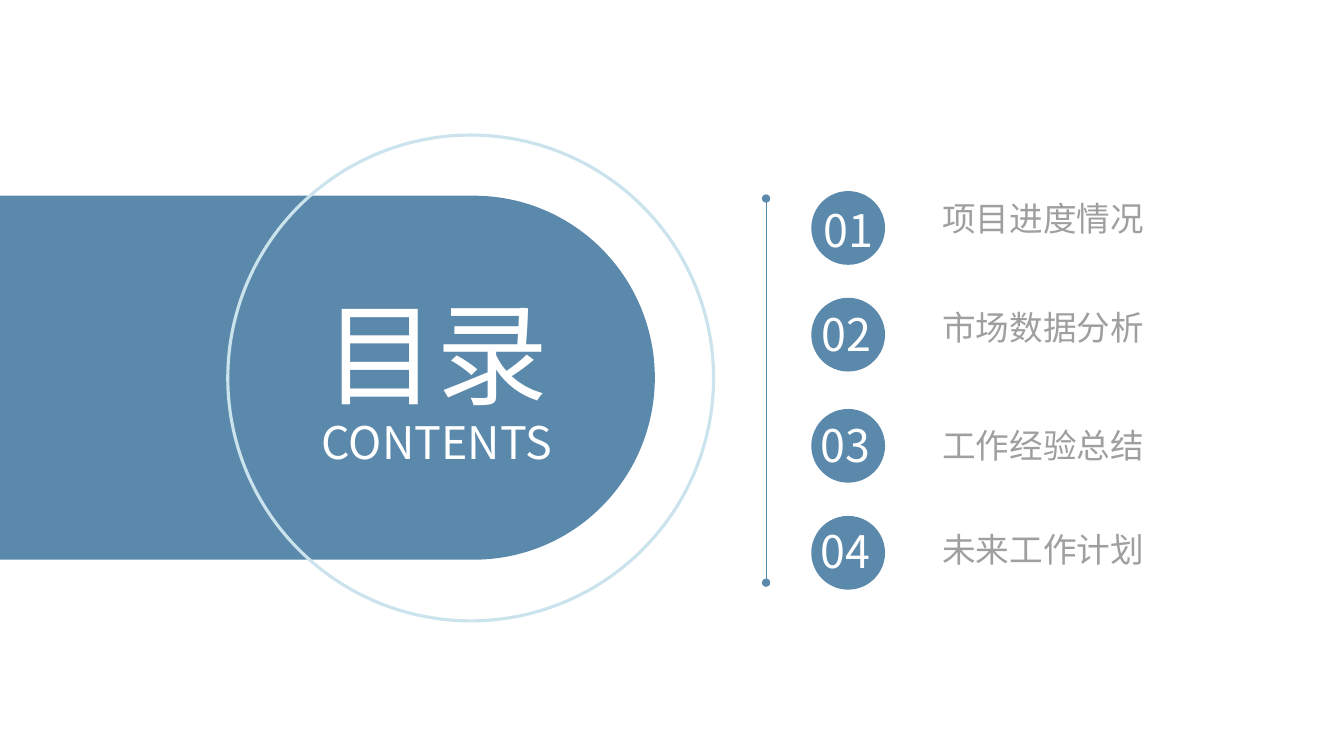
from pptx import Presentation
from pptx.dml.color import RGBColor
from pptx.enum.shapes import MSO_CONNECTOR, MSO_SHAPE
from pptx.enum.text import MSO_AUTO_SIZE, PP_ALIGN
from pptx.oxml.ns import qn
from pptx.util import Pt
from lxml.etree import SubElement

BLUE = RGBColor(0x5B, 0x89, 0xAB)
PALE_BLUE = RGBColor(0xCB, 0xE3, 0xED)
GREY = RGBColor(0x9F, 0x9F, 0x9F)
WHITE = RGBColor(0xFF, 0xFF, 0xFF)


class ContentsSlide:
    """Draws the elements of a contents slide in one style, with lengths in points."""

    font_name = "Noto Sans CJK SC"

    def __init__(self, slide):
        self.shapes = slide.shapes

    def solid(self, preset, left, top, width, height):
        panel = self.shapes.add_shape(preset, Pt(left), Pt(top), Pt(width), Pt(height))
        panel.shadow.inherit = False
        panel.fill.solid()
        panel.fill.fore_color.rgb = BLUE
        panel.line.fill.background()

    def ring(self, left, top, diameter):
        ring = self.shapes.add_shape(
            MSO_SHAPE.OVAL, Pt(left), Pt(top), Pt(diameter), Pt(diameter))
        ring.shadow.inherit = False
        ring.fill.background()
        ring.line.color.rgb = PALE_BLUE
        ring.line.width = Pt(2.25)

    def text(self, words, left, top, width, height, size, color,
             align=PP_ALIGN.LEFT, wrap=True):
        frame = self.shapes.add_textbox(
            Pt(left), Pt(top), Pt(width), Pt(height)).text_frame
        frame.word_wrap = wrap
        frame.auto_size = MSO_AUTO_SIZE.SHAPE_TO_FIT_TEXT
        paragraph = frame.paragraphs[0]
        paragraph.alignment = align
        run = paragraph.add_run()
        run.text = words
        run.font.size = Pt(size)
        run.font.color.rgb = color
        run.font.name = self.font_name
        SubElement(run.font._element, qn("a:ea"), typeface=self.font_name)

    def divider(self, x, bottom, top):
        divider = self.shapes.add_connector(
            MSO_CONNECTOR.STRAIGHT, Pt(x), Pt(bottom), Pt(x), Pt(top))
        divider.line.color.rgb = BLUE
        divider.line.width = Pt(0.25)
        outline = divider.line._get_or_add_ln()
        for end in ("a:headEnd", "a:tailEnd"):
            SubElement(outline, qn(end), type="oval")
        SubElement(divider._element.spPr, qn("a:effectLst"))

    def chapter(self, number, title, circle_top, number_left, number_top, title_top):
        self.solid(MSO_SHAPE.OVAL, 579.5, circle_top, 52.7, 52.7)
        self.text(number, number_left, number_top, 50.4, 46, 32, WHITE, wrap=False)
        self.text(title, 666, title_top, 252, 36, 24, GREY)


def main():
    presentation = Presentation()
    presentation.slide_width = Pt(960)
    presentation.slide_height = Pt(540)
    contents = ContentsSlide(
        presentation.slides.add_slide(presentation.slide_layouts[6]))

    contents.solid(MSO_SHAPE.FLOWCHART_TERMINATOR, -335.2, 139.8, 803, 260)
    contents.text("目录", 72, 199.4, 480, 104.4, 80, WHITE, PP_ALIGN.CENTER)
    contents.text("CONTENTS", 72, 293, 480, 46, 32, WHITE, PP_ALIGN.CENTER)
    contents.divider(547.2, 416.2, 141.8)

    chapters = [
        ("01", "项目进度情况", 136.5, 581, 141.1, 137.5),
        ("02", "市场数据分析", 212.7, 579.6, 215.3, 216),
        ("03", "工作经验总结", 292.1, 578.9, 294.5, 300.2),
        ("04", "未来工作计划", 368.5, 578.9, 370.8, 374.4),
    ]
    for chapter in chapters:
        contents.chapter(*chapter)

    contents.ring(162.7, 96.5, 347)
    presentation.save("out.pptx")


if __name__ == "__main__":
    main()
